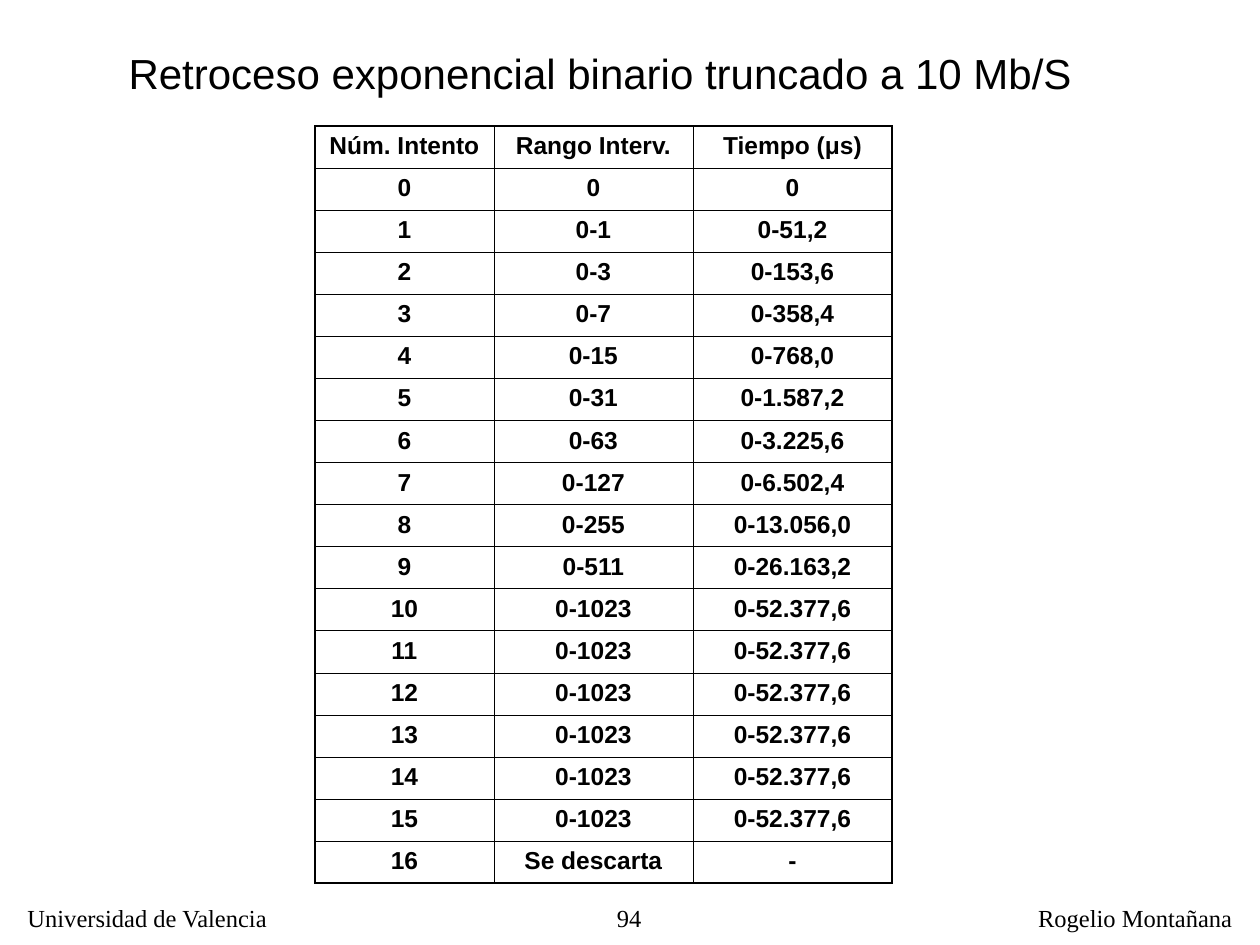
"""Build the slide on truncated binary exponential backoff at 10 Mb/s."""

from dataclasses import dataclass

from lxml import etree
from pptx import Presentation
from pptx.dml.color import RGBColor
from pptx.enum.text import MSO_ANCHOR, MSO_AUTO_SIZE, PP_ALIGN
from pptx.oxml.ns import qn
from pptx.util import Inches, Pt

LEFT, CENTER, RIGHT = PP_ALIGN.LEFT, PP_ALIGN.CENTER, PP_ALIGN.RIGHT
TOP, BOTTOM = MSO_ANCHOR.TOP, MSO_ANCHOR.BOTTOM
NO_AUTOFIT = MSO_AUTO_SIZE.NONE
COLORS = {"ink": "000000"}
TITLE_ONLY = 5
SLOT_TIME = 51.2
MAX_EXPONENT = 10
LAST_ATTEMPT = 16
COLUMN_WIDTHS = (1.42, 1.58, 1.58)
TABLE_HEIGHT = 6
OUTER_BORDER, INNER_BORDER = 1.08, 0.45

TITLE_FORMAT = {"name": "Arial", "size": Pt(24), "bold": False}
CELL_FORMAT = {"name": "Arial", "size": Pt(14), "bold": True}
FOOTER_FORMAT = {"name": "Times New Roman", "size": Pt(14), "bold": False}


@dataclass
class Label:
    text: str
    left: float
    width: float
    alignment: PP_ALIGN
    wrap: bool


FOOTERS = (
    Label("94", 4.13, 1.06, RIGHT, True),
    Label("Universidad de Valencia", 0.12, 2.13, LEFT, False),
    Label("Rogelio Montañana", 8.14, 1.74, LEFT, False),
)


def write_text(text_frame, text: str, alignment: PP_ALIGN, font_format: dict) -> None:
    text_frame.text = text
    paragraph = text_frame.paragraphs[0]
    paragraph.alignment = alignment
    paragraph.space_before = Pt(0)
    for name, value in font_format.items():
        setattr(paragraph.font, name, value)
    paragraph.font.color.rgb = RGBColor.from_string(COLORS["ink"])


def add_title(slide, text: str) -> None:
    title = slide.shapes.title
    title.left, title.top = Inches(0.92), Inches(0.33)
    title.width, title.height = Inches(8.08), Inches(0.5)
    title.text_frame.auto_size = NO_AUTOFIT
    title.text_frame.vertical_anchor = BOTTOM
    write_text(title.text_frame, text, LEFT, TITLE_FORMAT)


def add_footer(slide, label: Label) -> None:
    shape = slide.shapes.add_textbox(
        Inches(label.left), Inches(7.12), Inches(label.width), Inches(0.34)
    )
    shape.text_frame.word_wrap = label.wrap
    write_text(shape.text_frame, label.text, label.alignment, FOOTER_FORMAT)


def spanish_number(value: float) -> str:
    return f"{value:,.1f}".translate(str.maketrans(",.", ".,"))


def backoff_rows() -> list[tuple[str, str, str]]:
    rows = [("Núm. Intento", "Rango Interv.", "Tiempo (μs)"), ("0", "0", "0")]
    for attempt in range(1, LAST_ATTEMPT):
        slots = 2 ** min(attempt, MAX_EXPONENT) - 1
        rows.append((str(attempt), f"0-{slots}", f"0-{spanish_number(slots * SLOT_TIME)}"))
    return rows + [(str(LAST_ATTEMPT), "Se descarta", "-")]


def set_borders(cell, outer_sides: dict[str, bool]) -> None:
    properties = cell._tc.get_or_add_tcPr()
    for index, (side, is_outer) in enumerate(outer_sides.items()):
        width = Pt(OUTER_BORDER if is_outer else INNER_BORDER)
        line = etree.Element(qn(f"a:{side}"), w=str(int(width)))
        fill = etree.SubElement(line, qn("a:solidFill"))
        etree.SubElement(fill, qn("a:srgbClr"), val=COLORS["ink"])
        properties.insert(index, line)


def add_backoff_table(slide, rows: list[tuple[str, str, str]]) -> None:
    table = slide.shapes.add_table(
        len(rows), len(COLUMN_WIDTHS), Inches(2.5), Inches(1),
        Inches(sum(COLUMN_WIDTHS)), Inches(TABLE_HEIGHT),
    ).table
    table.first_row = table.horz_banding = False
    for column, width in zip(table.columns, COLUMN_WIDTHS):
        column.width = Inches(width)
    last_row, last_column = len(rows) - 1, len(COLUMN_WIDTHS) - 1
    for row_index, values in enumerate(rows):
        table.rows[row_index].height = Inches(TABLE_HEIGHT / len(rows))
        for column_index, value in enumerate(values):
            cell = table.cell(row_index, column_index)
            cell.fill.background()
            cell.vertical_anchor = TOP
            write_text(cell.text_frame, value, CENTER, CELL_FORMAT)
            set_borders(cell, {
                "lnL": column_index == 0,
                "lnR": column_index == last_column,
                "lnT": row_index == 0,
                "lnB": row_index == last_row,
            })


def main() -> None:
    presentation = Presentation()
    presentation.slide_width, presentation.slide_height = Inches(10), Inches(7.5)
    slide = presentation.slides.add_slide(presentation.slide_layouts[TITLE_ONLY])
    for label in FOOTERS:
        add_footer(slide, label)
    add_backoff_table(slide, backoff_rows())
    add_title(slide, "Retroceso exponencial binario truncado a 10 Mb/S")
    presentation.save("out.pptx")


if __name__ == "__main__":
    main()
